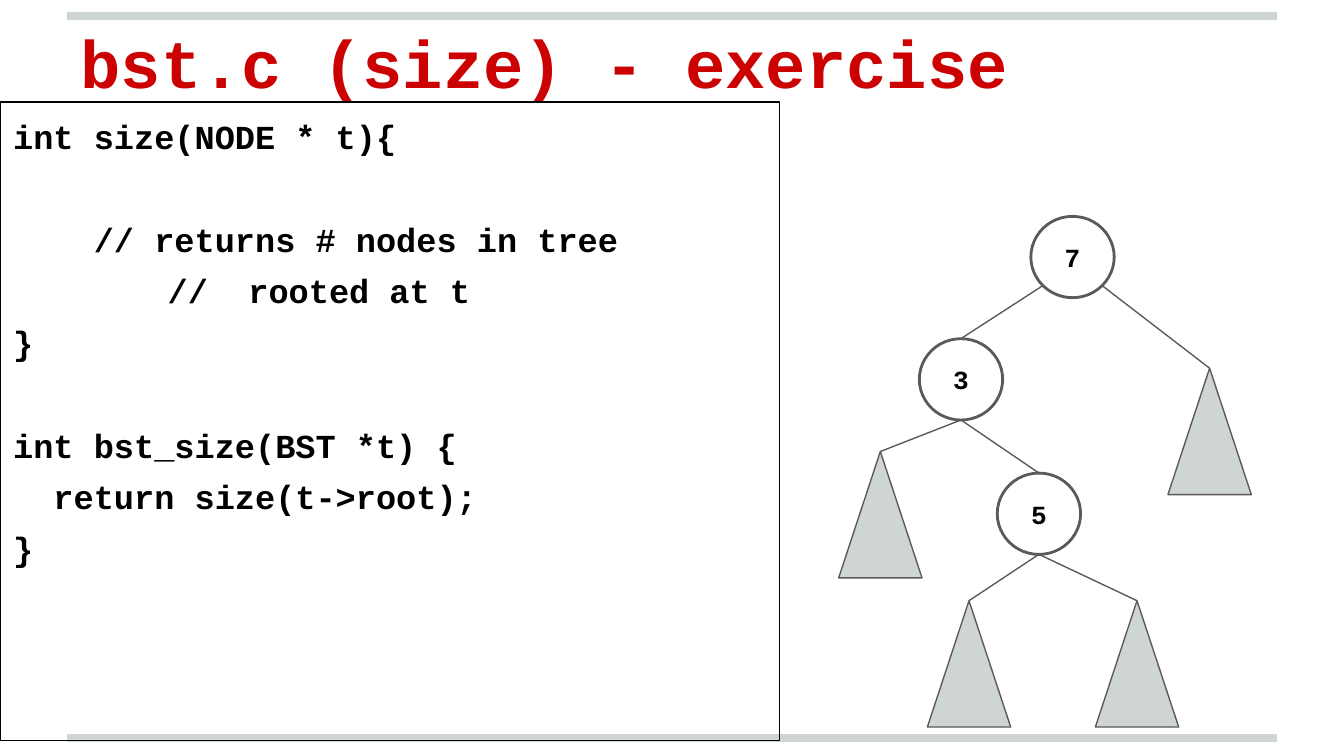
from pptx import Presentation
from pptx.dml.color import RGBColor as RGB
from pptx.enum.shapes import MSO_CONNECTOR as Conn, MSO_SHAPE as Kind
from pptx.enum.text import MSO_ANCHOR as Anchor, PP_ALIGN as Align
from pptx.oxml.xmlchemy import OxmlElement as Tag
from pptx.util import Inches, Pt


def paint(code):
    return RGB.from_string(code)


def stop(para, place):
    tabs, tab = Tag("a:tabLst"), Tag("a:tab")
    tab.set("pos", str(Inches(place)))
    tab.set("algn", "l")
    tabs.append(tab)
    para._p.get_or_add_pPr().append(tabs)


def write(frame, text, size=18, color="000000", align=Align.LEFT,
          anchor=Anchor.TOP, gap=0, skip=0):
    frame.word_wrap = True
    frame.vertical_anchor = anchor
    frame.margin_left = frame.margin_right = Inches(0.1)
    frame.margin_top = frame.margin_bottom = Inches(0.1)
    para, space = frame.paragraphs[0], 0
    for line in text.split("\n"):
        if not line:
            space += skip
            continue
        if para.runs:
            para = frame.add_paragraph()
        para.alignment = align
        para.space_before = Pt(space)
        if "\t" in line:
            stop(para, 1)
        run = para.add_run()
        run.text = line
        font = run.font
        font.name, font.size, font.bold = "Courier New", Pt(size), True
        font.color.rgb = paint(color)
        space = gap


class Deck:
    """Draws styled elements on a grid of 100 columns by 56.25 rows."""

    ink, gray, red, black = "5B595A", "CFD4D4", "CC0202", "000000"
    wide, round_h, leaf_h = 6.2, 6.05, 9.4

    def __init__(self):
        self.file = Presentation()
        self.file.slide_width = Inches(10)
        self.file.slide_height = Inches(5.625)
        self.cell = self.file.slide_width / 100
        self.slide = self.file.slides.add_slide(self.file.slide_layouts[6])

    def grid(self, *spots):
        return [round(spot * self.cell) for spot in spots]

    def line(self, start, end, color=ink, width=0.75):
        item = self.slide.shapes.add_connector(
            Conn.STRAIGHT, *self.grid(*start, *end))
        item.line.color.rgb = paint(color)
        item.line.width = Pt(width)
        item._element.spPr.append(Tag("a:effectLst"))

    def shape(self, kind, box, fill=None, color=ink, width=0.75):
        item = self.slide.shapes.add_shape(kind, *self.grid(*box))
        item.shadow.inherit = False
        if fill:
            item.fill.solid()
            item.fill.fore_color.rgb = paint(fill)
        else:
            item.fill.background()
        item.line.color.rgb = paint(color)
        item.line.width = Pt(width)
        return item.text_frame

    def title(self, text, box):
        item = self.slide.shapes.add_textbox(*self.grid(*box))
        write(item.text_frame, text, size=36, color=self.red,
              anchor=Anchor.TOP)

    def code(self, text, box):
        frame = self.shape(Kind.RECTANGLE, box, color=self.black)
        write(frame, text, gap=6, skip=27.6)

    def node(self, key, tip):
        x, y = tip
        box = x - self.wide / 2, y, self.wide, self.round_h
        frame = self.shape(Kind.OVAL, box, width=1.5)
        write(frame, key, size=14, align=Align.CENTER, anchor=Anchor.MIDDLE)

    def leaf(self, tip):
        x, y = tip
        box = x - self.wide / 2, y, self.wide, self.leaf_h
        self.shape(Kind.ISOSCELES_TRIANGLE, box, fill=self.gray)

    def fork(self, tip, kids, spread=0, drop=round_h):
        x, y = tip
        for side, kid in zip((-spread, spread), kids):
            self.line((x + side, y + drop), kid)


CODE = """int size(NODE * t){

    // returns # nodes in tree
\t //  rooted at t
}

int bst_size(BST *t) {
  return size(t->root);
}"""


def main():
    deck = Deck()
    for row in (54.9, 1.2):
        deck.line((5, row), (95, row), color=deck.gray, width=4)
    deck.title("bst.c (size) - exercise", (5, 0.6, 90, 9.4))
    deck.code(CODE, (0, 7.6, 58, 47.5))

    seven, three, five = (79.8, 16.1), (71.5, 25.2), (77.3, 35.2)
    left, right = (65.5, 33.6), (90, 27.4)
    low = [(72.1, 44.7), (84.6, 44.7)]
    for key, tip in zip("735", (seven, three, five)):
        deck.node(key, tip)
    for tip in (left, right, *low):
        deck.leaf(tip)
    deck.fork(seven, (three, right), spread=2.2, drop=5.15)
    deck.fork(three, (left, five))
    deck.fork(five, low)
    deck.file.save("out.pptx")


if __name__ == "__main__":
    main()
